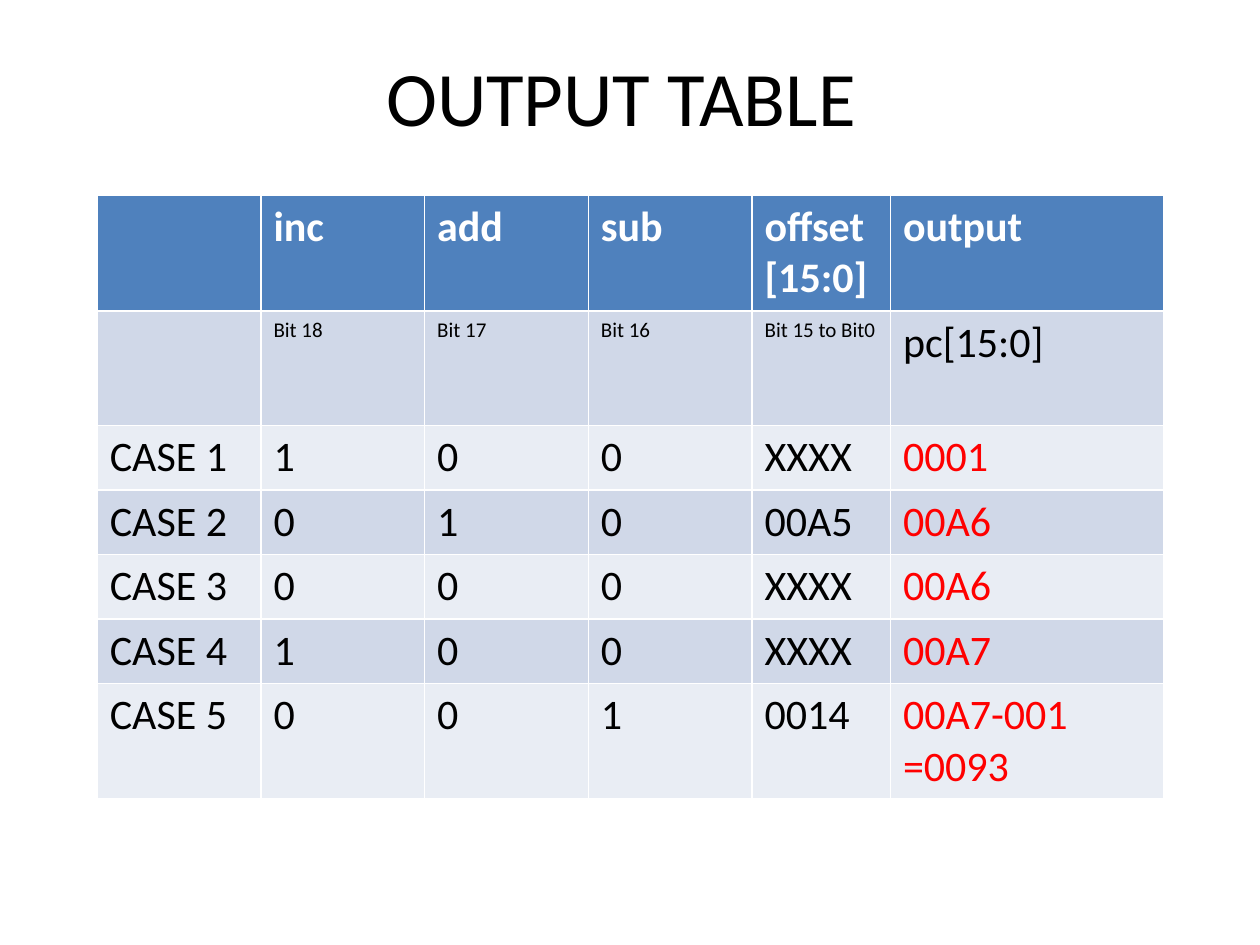
"""Build the output table slide."""
from pptx import Presentation
from pptx.dml.color import RGBColor
from pptx.enum.text import PP_ALIGN
from pptx.util import Cm, Pt

CENTER = PP_ALIGN.CENTER
FONT = "Calibri"
BLACK = RGBColor(0x00, 0x00, 0x00)
WHITE = RGBColor(0xFF, 0xFF, 0xFF)
RED = RGBColor(0xFF, 0x00, 0x00)
BLUE = RGBColor(0x4F, 0x81, 0xBD)
BANDS = RGBColor(0xD0, 0xD8, 0xE8), RGBColor(0xE9, 0xED, 0xF4)

TITLE = "OUTPUT TABLE "
ROWS = [
    ("", "inc", "add", "sub", "offset\n[15:0]", "output"),
    ("", "Bit 18", "Bit 17", "Bit 16", "Bit 15 to Bit0", "pc[15:0]"),
    ("CASE 1", "1", "0", "0", "XXXX", "0001"),
    ("CASE 2", "0", "1", "0", "00A5", "00A6"),
    ("CASE 3", "0", "0", "0", "XXXX", "00A6"),
    ("CASE 4", "1", "0", "0", "XXXX", "00A7"),
    ("CASE 5", "0", "0", "1", "0014", "00A7-001\n=0093"),
]
WIDTHS = [3.3, 3.3, 3.3, 3.3, 2.79, 5.51]
HEIGHTS = [2.33, 2.31, 1.3, 1.3, 1.3, 1.3, 2.31]
LAST = len(WIDTHS) - 1


def style(frame, size, color, bold=False):
    for para in frame.paragraphs:
        font = para.font
        font.name, font.size, font.bold = FONT, Pt(size), bold
        font.color.rgb = color


def add_title(slide):
    box = slide.shapes.add_textbox(Cm(1.27), Cm(0.76), Cm(22.86), Cm(3.18))
    frame = box.text_frame
    frame.word_wrap = True
    frame.margin_top = Cm(0.23)
    frame.text = TITLE
    frame.paragraphs[0].alignment = CENTER
    style(frame, 44, BLACK)


def add_grid(slide):
    grid = slide.shapes.add_table(
        len(ROWS), len(WIDTHS), Cm(1.96), Cm(3.94),
        Cm(sum(WIDTHS)), Cm(sum(HEIGHTS))).table
    for col, width in zip(grid.columns, WIDTHS):
        col.width = Cm(width)
    for r, (texts, height) in enumerate(zip(ROWS, HEIGHTS)):
        grid.rows[r].height = Cm(height)
        for c, text in enumerate(texts):
            cell = grid.cell(r, c)
            cell.text = text
            cell.fill.solid()
            cell.fill.fore_color.rgb = BANDS[(r - 1) % 2] if r else BLUE
            size = 12 if r == 1 and c < LAST else 24
            color = WHITE if r == 0 else RED if r > 1 and c == LAST else BLACK
            style(cell.text_frame, size, color, r == 0)


def main():
    deck = Presentation()
    deck.slide_width, deck.slide_height = Cm(25.4), Cm(19.05)
    slide = deck.slides.add_slide(deck.slide_layouts[6])
    add_grid(slide)
    add_title(slide)
    deck.save("out.pptx")


if __name__ == "__main__":
    main()
